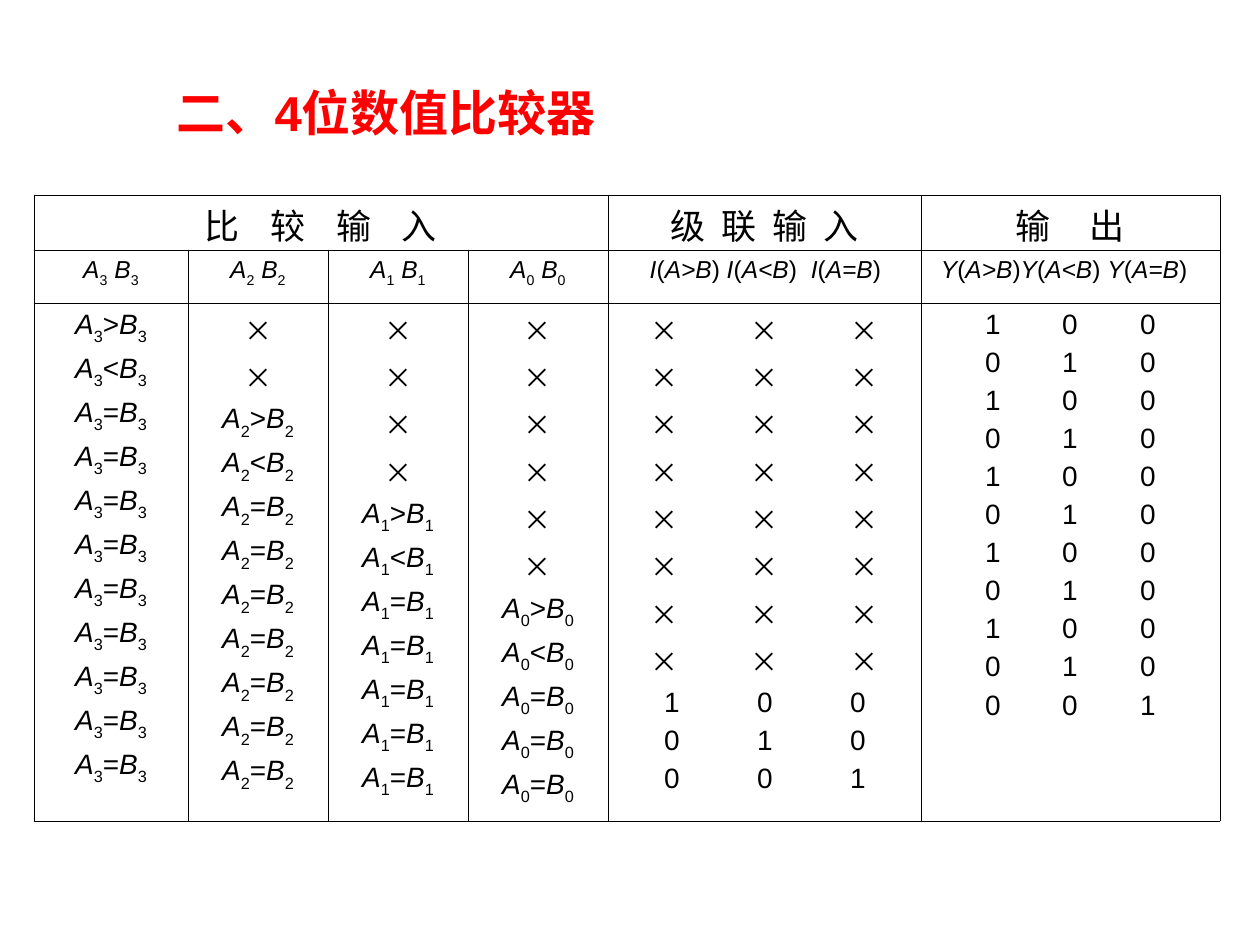
from typing import NamedTuple

from lxml import etree
from pptx import Presentation
from pptx.dml.color import RGBColor
from pptx.enum.text import PP_ALIGN
from pptx.oxml.ns import qn
from pptx.util import Pt

CENTER, LEFT = PP_ALIGN.CENTER, PP_ALIGN.LEFT
EMU_PER_PX = 914400 / 126
LATIN, CJK = "Arial", "Noto Sans CJK SC"
BLACK, RED = "000000", "FF0000"
BORDER = Pt(0.45)
INSET_X, INSET_Y = 13, 6

COLUMN_WIDTHS = (154, 140, 140, 140, 313, 299)
ROW_HEIGHTS = (55, 53, 518)
BITS = (3, 2, 1, 0)
CASCADE_COLUMN, OUTPUT_COLUMN = 4, 5
CASES = 11
RELATIONS = (">", "<", "=")


class Span(NamedTuple):
    text: str
    italic: bool = False
    subscript: bool = False
    font: str = LATIN
    spacing: float = 0


class Line(NamedTuple):
    spans: list[Span]
    tabs: tuple[int, ...] = ()
    align: PP_ALIGN = CENTER


class Style(NamedTuple):
    size: int
    space_before: float = 0
    color: str = BLACK
    bold: bool = False


class Heading(NamedTuple):
    column: int
    text: str
    spacing: float


HEADINGS = (
    Heading(0, "比 较 输 入", 6.5),
    Heading(CASCADE_COLUMN, "级 联 输 入", 2.3),
    Heading(OUTPUT_COLUMN, "输 出", 8.9),
)
TITLE_STYLE = Style(28, color=RED, bold=True)
HEADING_STYLE = Style(20)
SIGNAL_STYLE = Style(14)
CASE_STYLE = Style(16, space_before=4)


def px(length: int) -> int:
    return round(length * EMU_PER_PX)


def rgb(color: str) -> RGBColor:
    return RGBColor.from_string(color)


def write_span(paragraph, span: Span, style: Style) -> None:
    run = paragraph.add_run()
    run.text = span.text
    font = run.font
    font.size, font.bold, font.italic = Pt(style.size), style.bold, span.italic
    font.color.rgb = rgb(style.color)
    font.name = span.font
    properties = run._r.get_or_add_rPr()
    etree.SubElement(properties, qn("a:ea")).set("typeface", CJK)
    if span.subscript:
        properties.set("baseline", "-30000")
    if span.spacing:
        properties.set("spc", str(round(span.spacing * 100)))


def write_lines(frame, lines: list[Line], style: Style) -> None:
    for index, line in enumerate(lines):
        paragraph = frame.add_paragraph() if index else frame.paragraphs[0]
        paragraph.alignment = line.align
        if index:
            paragraph.space_before = Pt(style.space_before)
        if line.tabs:
            tab_list = etree.SubElement(paragraph._p.get_or_add_pPr(), qn("a:tabLst"))
            for position in line.tabs:
                etree.SubElement(tab_list, qn("a:tab"), pos=str(px(position)), algn="ctr")
        for span in line.spans:
            write_span(paragraph, span, style)


def tabbed(values: str, tabs: tuple[int, ...], font: str = LATIN) -> Line:
    """One value centred under each tab stop."""
    return Line([Span("".join("\t" + value for value in values), font=font)], tabs, LEFT)


def operand(name: str, bit: int) -> list[Span]:
    return [Span(name, italic=True), Span(str(bit), subscript=True)]


def port(name: str, relation: str) -> list[Span]:
    return [Span(name, italic=True), Span("("),
            Span(f"A{relation}B", italic=True), Span(")")]


def bit_cases(bit: int) -> list[Line]:
    """A bit matters only once all higher bits are equal."""
    ignored = 2 * (BITS[0] - bit)
    relations = [">", "<"] + ["="] * (CASES - ignored - 2)
    return [Line([Span("×", font=CJK)])] * ignored + [
        Line(operand("A", bit) + [Span(relation)] + operand("B", bit))
        for relation in relations
    ]


def cascade_cases() -> list[Line]:
    ignored = [tabbed("×××", (44, 144, 244), CJK)] * (CASES - 3)
    return ignored + [tabbed(bits, (51, 144, 237)) for bits in ("100", "010", "001")]


def output_cases() -> list[Line]:
    results = ["100", "010"] * (CASES // 2) + ["001"]
    return [tabbed(bits, (59, 136, 214)) for bits in results]


def format_cell(cell) -> None:
    cell.fill.background()
    cell.margin_left = cell.margin_right = px(INSET_X)
    cell.margin_top = cell.margin_bottom = px(INSET_Y)
    properties = cell._tc.get_or_add_tcPr()
    for index, side in enumerate(("lnL", "lnR", "lnT", "lnB")):
        edge = etree.Element(qn(f"a:{side}"), w=str(BORDER))
        fill = etree.SubElement(edge, qn("a:solidFill"))
        etree.SubElement(fill, qn("a:srgbClr"), val=BLACK)
        properties.insert(index, edge)


def add_title(slide) -> None:
    frame = slide.shapes.add_textbox(px(113), px(65), px(546), px(83)).text_frame
    frame.word_wrap = True
    write_lines(frame, [Line([Span("二、4位数值比较器")])], TITLE_STYLE)
    frame.paragraphs[0].line_spacing = 1.2


def add_grid(slide):
    table = slide.shapes.add_table(
        len(ROW_HEIGHTS), len(COLUMN_WIDTHS), px(34), px(195),
        px(sum(COLUMN_WIDTHS)), px(sum(ROW_HEIGHTS))).table
    table.first_row = table.horz_banding = False
    for column, width in zip(table.columns, COLUMN_WIDTHS):
        column.width = px(width)
    for row, height in zip(table.rows, ROW_HEIGHTS):
        row.height = px(height)
    for cell in table.iter_cells():
        format_cell(cell)
    table.cell(0, 0).merge(table.cell(0, len(BITS) - 1))
    return table


def fill_truth_table(table) -> None:
    for heading in HEADINGS:
        cell = table.cell(0, heading.column)
        cell.margin_top, cell.margin_bottom = px(4), 0
        spans = [Span(heading.text[:-1], font=CJK, spacing=heading.spacing),
                 Span(heading.text[-1], font=CJK)]
        write_lines(cell.text_frame, [Line(spans)], HEADING_STYLE)

    for column, bit in enumerate(BITS):
        signals = Line(operand("A", bit) + [Span(" ")] + operand("B", bit))
        write_lines(table.cell(1, column).text_frame, [signals], SIGNAL_STYLE)
        write_lines(table.cell(2, column).text_frame, bit_cases(bit), CASE_STYLE)

    inputs = [span for relation in RELATIONS
              for span in [Span("\t")] + port("I", relation)]
    write_lines(table.cell(1, CASCADE_COLUMN).text_frame,
                [Line(inputs, (64, 141, 225), LEFT)], SIGNAL_STYLE)
    write_lines(table.cell(2, CASCADE_COLUMN).text_frame, cascade_cases(), CASE_STYLE)

    outputs = port("Y", ">") + port("Y", "<") + [Span(" ")] + port("Y", "=")
    signal_cell = table.cell(1, OUTPUT_COLUMN)
    signal_cell.margin_left = px(20)
    write_lines(signal_cell.text_frame, [Line(outputs, align=LEFT)], SIGNAL_STYLE)
    write_lines(table.cell(2, OUTPUT_COLUMN).text_frame, output_cases(), CASE_STYLE)


def main() -> None:
    presentation = Presentation()
    presentation.slide_width, presentation.slide_height = px(1260), px(945)
    slide = presentation.slides.add_slide(presentation.slide_layouts[6])
    add_title(slide)
    fill_truth_table(add_grid(slide))
    presentation.save("out.pptx")


if __name__ == "__main__":
    main()
